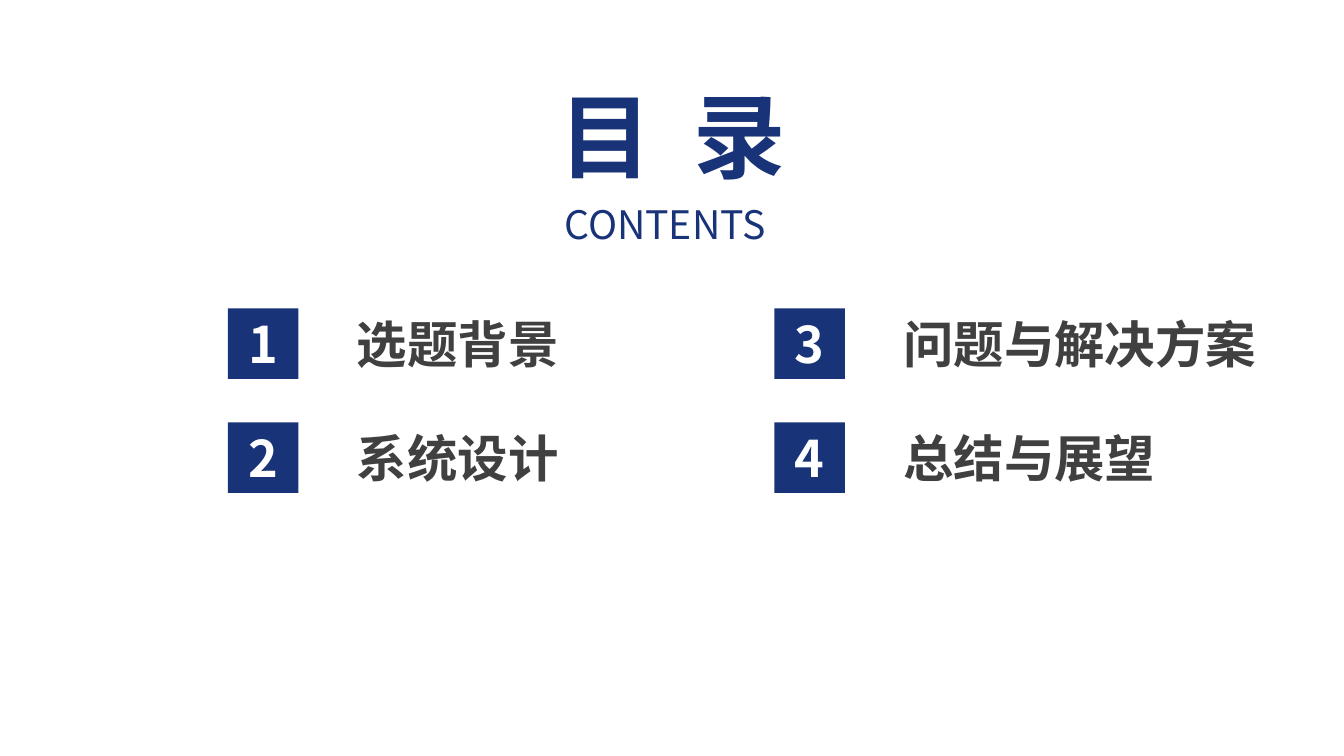
from lxml import etree
from pptx import Presentation
from pptx.dml.color import RGBColor
from pptx.enum.shapes import MSO_SHAPE
from pptx.enum.text import MSO_ANCHOR, MSO_AUTO_SIZE, PP_ALIGN
from pptx.oxml.ns import qn
from pptx.util import Inches, Pt

TITLE = ("目", " ", "录")
SUBTITLE = "CONTENTS"
CHAPTERS = ["选题背景", "系统设计", "问题与解决方案", "总结与展望"]

FONT = "Noto Sans CJK SC"
COLORS = {"navy": "193379", "gray": "404040", "white": "FFFFFF"}
TITLE_GAP = 1480  # extra width of the title's space, hundredths of a point

RECTANGLE = MSO_SHAPE.RECTANGLE
TOP, MIDDLE = MSO_ANCHOR.TOP, MSO_ANCHOR.MIDDLE
LEFT, CENTER, JUSTIFY = PP_ALIGN.LEFT, PP_ALIGN.CENTER, PP_ALIGN.JUSTIFY
NO_AUTOFIT = MSO_AUTO_SIZE.NONE

ROWS = 2
GRID_LEFT, GRID_TOP = 2.26, 3.06
COLUMN_STEP, ROW_STEP = 5.42, 1.13
SQUARE = 0.7
LABEL_OFFSET, LABEL_HEIGHT = 1.18, 0.71
CHARACTER_WIDTH, LABEL_PADDING = 0.505, 0.2


def add_span(para, text, size, color, bold):
    span = para.add_run()
    span.text = text
    span.font.name = FONT
    span.font.size = Pt(size)
    span.font.bold = bold
    span.font.color.rgb = RGBColor.from_string(COLORS[color])
    properties = span._r.get_or_add_rPr()
    etree.SubElement(properties, qn("a:ea")).set("typeface", FONT)
    return properties


def write(box, texts, size, color, bold=True, align=LEFT, anchor=TOP, wrap=True):
    """Fill a box with one paragraph and return the run properties."""
    frame = box.text_frame
    frame.auto_size = NO_AUTOFIT
    frame.word_wrap = wrap
    frame.vertical_anchor = anchor
    para = frame.paragraphs[0]
    para.alignment = align
    para.line_spacing = 1.0
    return [add_span(para, text, size, color, bold) for text in texts]


def add_text_box(slide, left, top, width, height):
    return slide.shapes.add_textbox(
        Inches(left), Inches(top), Inches(width), Inches(height))


def add_heading(slide):
    title = slide.shapes.title
    title.left, title.top = Inches(5.09), Inches(0.73)
    title.width, title.height = Inches(3.16), Inches(1.21)
    spans = write(title, TITLE, 66, "navy", align=CENTER)
    spans[1].set("spc", str(TITLE_GAP))
    subtitle = add_text_box(slide, 5.5, 1.94, 2.33, 0.57)
    write(subtitle, [SUBTITLE], 28, "navy", bold=False, align=JUSTIFY)


def add_chapter(slide, index, name):
    column, row = divmod(index, ROWS)
    left = GRID_LEFT + column * COLUMN_STEP
    top = GRID_TOP + row * ROW_STEP
    square = slide.shapes.add_shape(
        RECTANGLE, Inches(left), Inches(top), Inches(SQUARE), Inches(SQUARE))
    square.shadow.inherit = False
    square.fill.solid()
    square.fill.fore_color.rgb = RGBColor.from_string(COLORS["navy"])
    square.line.fill.background()
    write(square, [str(index + 1)], 36, "white", align=CENTER, anchor=MIDDLE)
    width = len(name) * CHARACTER_WIDTH + LABEL_PADDING
    label = add_text_box(slide, left + LABEL_OFFSET, top, width, LABEL_HEIGHT)
    write(label, [name], 36, "gray", wrap=False)


def main():
    deck = Presentation()
    deck.slide_width, deck.slide_height = Inches(13.33), Inches(7.5)
    page = deck.slides.add_slide(deck.slide_layouts[5])
    add_heading(page)
    for index, name in enumerate(CHAPTERS):
        add_chapter(page, index, name)
    deck.save("out.pptx")


if __name__ == "__main__":
    main()
